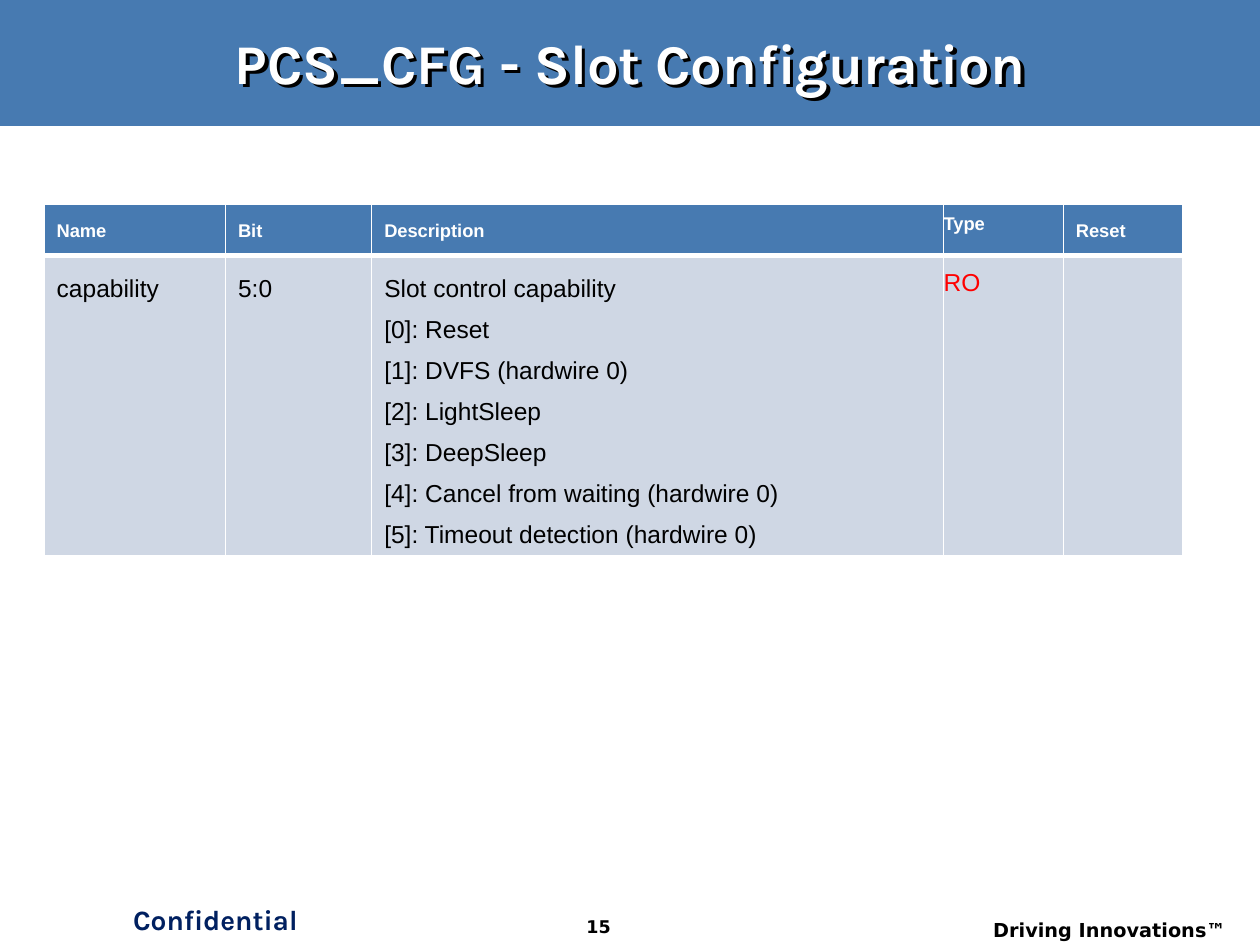
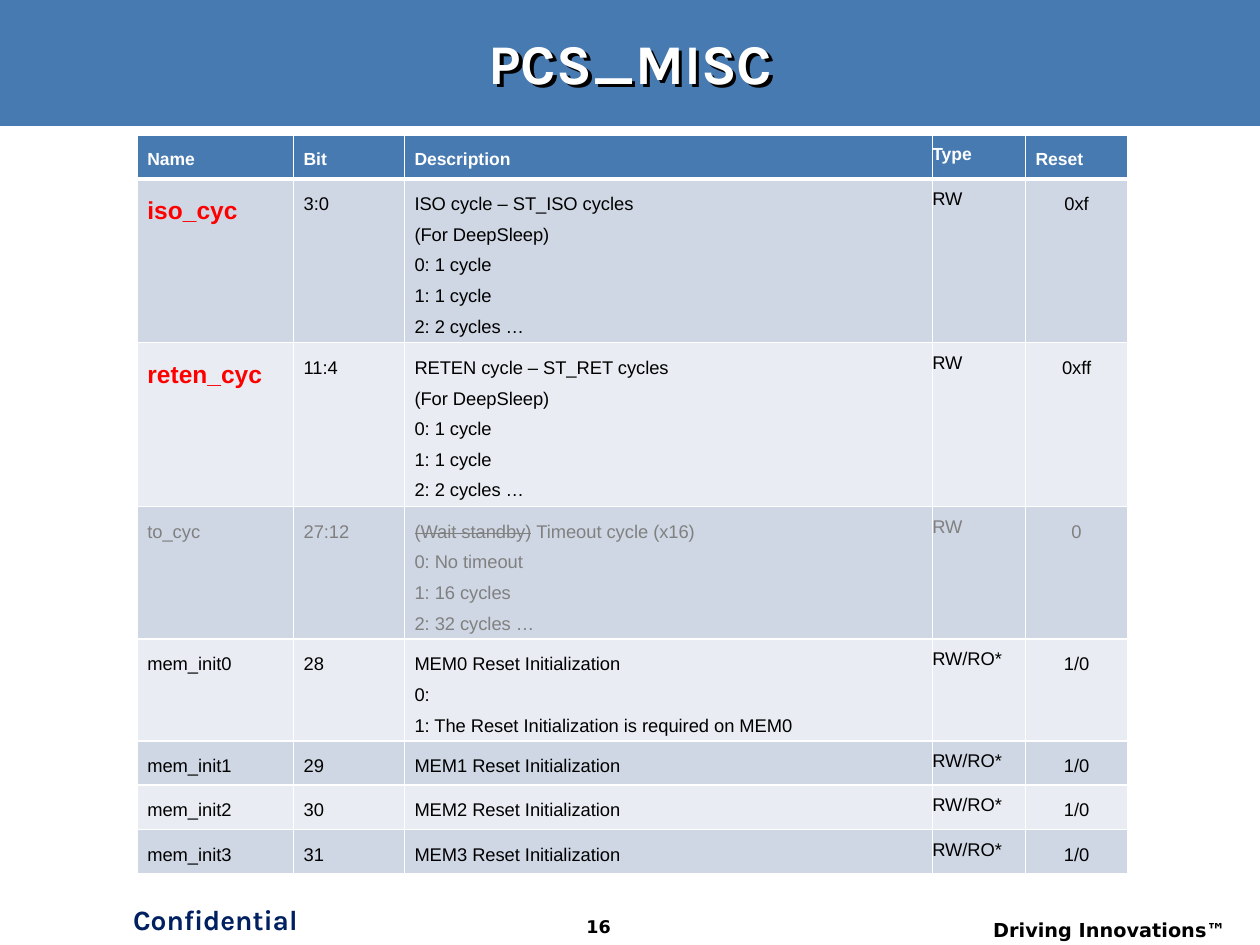
from lxml import etree
from pptx import Presentation
from pptx.dml.color import RGBColor
from pptx.enum.shapes import MSO_SHAPE as Shape
from pptx.enum.text import MSO_ANCHOR as Anchor, MSO_AUTO_SIZE as AutoSize, PP_ALIGN as Align
from pptx.oxml import parse_xml
from pptx.oxml.ns import nsdecls, qn
from pptx.util import Inches, Pt

THEME = {
    "blue": "477AB1",
    "bands": ("CFD7E4", "E9ECF2"),
    "white": "FFFFFF",
    "leading": 1.67,
    "title": {"name": "Karla", "size": 32, "color": "FFFFFF", "bold": True},
    "mark": {"name": "Karla", "size": 16, "color": "002060", "bold": True},
    "motto": {"name": "DejaVu Sans", "size": 11, "color": "000000", "bold": True},
    "number": {"name": "DejaVu Sans", "size": 10, "color": "000000", "bold": True},
    "head": {"name": "Arial", "color": "FFFFFF", "bold": True},
    "cell": {"name": "Arial", "color": "000000", "bold": False},
    "access": {"color": "FF0000"},
    "key": {"size": 14, "color": "FF0000", "bold": True},
    "muted": {"color": "808080"},
}

HEADINGS = ("Name", "Bit", "Description", "Type", "Reset")
TYPE, RESET = HEADINGS.index("Type"), HEADINGS.index("Reset")
CYCLES = ["(For DeepSleep)", "0: 1 cycle", "1: 1 cycle", "2: 2 cycles …"]
STRUCK = "(Wait standby)"

SLIDES = [
    {
        "title": "PCS_CFG - Slot Configuration",
        "number": "15",
        "place": (0.35, 1.62),
        "columns": (1.44, 1.16, 4.54, 0.95, 0.95),
        "heights": (0.41, 2.38),
        "insets": (0.1, 0.05),
        "sizes": {"head": 10.5, "cell": 14},
        "rows": [
            ("capability", "5:0", [
                "Slot control capability",
                "[0]: Reset",
                "[1]: DVFS (hardwire 0)",
                "[2]: LightSleep",
                "[3]: DeepSleep",
                "[4]: Cancel from waiting (hardwire 0)",
                "[5]: Timeout detection (hardwire 0)",
            ], "RO", ""),
        ],
        "accents": {(1, TYPE): "access"},
    },
    {
        "title": "PCS_MISC",
        "number": "16",
        "place": (1.09, 1.07),
        "columns": (1.24, 0.88, 4.19, 0.74, 0.81),
        "heights": (0.35, 1.3, 1.3, 1.05, 0.81, 0.35, 0.35, 0.35),
        "insets": (0.08, 0.04),
        "sizes": {"head": 10, "cell": 10.5},
        "rows": [
            ("iso_cyc", "3:0", ["ISO cycle – ST_ISO cycles", *CYCLES], "RW", "0xf"),
            ("reten_cyc", "11:4", ["RETEN cycle – ST_RET cycles", *CYCLES], "RW", "0xff"),
            ("to_cyc", "27:12", [
                STRUCK + " Timeout cycle (x16)",
                "0: No timeout",
                "1: 16 cycles",
                "2: 32 cycles …",
            ], "RW", "0"),
            ("mem_init0", "28", [
                "MEM0 Reset Initialization",
                "0:",
                "1: The Reset Initialization is required on MEM0",
            ], "RW/RO*", "1/0"),
            ("mem_init1", "29", "MEM1 Reset Initialization", "RW/RO*", "1/0"),
            ("mem_init2", "30", "MEM2 Reset Initialization", "RW/RO*", "1/0"),
            ("mem_init3", "31", "MEM3 Reset Initialization", "RW/RO*", "1/0"),
        ],
        "accents": {(1, 0): "key", (2, 0): "key",
                    **{(3, column): "muted" for column in range(len(HEADINGS))}},
    },
]

FOOTERS = [
    ("mark", (0.89, 7.11, 1.64, 0.42), Align.CENTER, "Confidential"),
    ("motto", (7.46, 7.24, 2.37, 0.26), Align.RIGHT, "Driving Innovations™"),
    ("number", (4.29, 7.22, 0.92, 0.28), Align.CENTER, None),
]


def paint(fill, color):
    fill.solid()
    fill.fore_color.rgb = RGBColor.from_string(color)


def style(font, look):
    values = {**look, "size": Pt(look["size"])}
    font.color.rgb = RGBColor.from_string(values.pop("color"))
    for name, value in values.items():
        setattr(font, name, value)


def write(para, text, look, align=Align.LEFT):
    para.alignment = align
    span = para.add_run()
    span.text = text
    style(span.font, look)
    return span


def place(shape, spot):
    for name, value in zip(("left", "top", "width", "height"), spot):
        setattr(shape, name, Inches(value))


def add_frame(page, slide):
    title = page.shapes.title
    band = page.shapes.add_shape(Shape.RECTANGLE, 0, 0, Inches(10), Inches(1))
    band.shadow.inherit = False
    paint(band.fill, THEME["blue"])
    band.line.fill.background()
    title.element.addprevious(band.element)

    place(title, (0.35, 0.16, 9.31, 0.66))
    title.fill.background()
    title.line.fill.background()
    title.element.spPr.append(parse_xml(
        f'<a:effectLst {nsdecls("a")}><a:outerShdw dist="38100" dir="2700000">'
        '<a:srgbClr val="000000"/></a:outerShdw></a:effectLst>'))
    frame = title.text_frame
    frame.word_wrap, frame.auto_size = True, AutoSize.NONE
    frame.vertical_anchor = Anchor.MIDDLE
    write(frame.paragraphs[0], slide["title"], THEME["title"], Align.CENTER)

    for look, spot, align, text in FOOTERS:
        box = page.shapes.add_textbox(*map(Inches, spot))
        box.text_frame.word_wrap = True
        write(box.text_frame.paragraphs[0], text or slide["number"], THEME[look], align)


def add_borders(cell, bottom):
    props = cell._tc.get_or_add_tcPr()
    for side, width in (("lnL", 1), ("lnR", 1), ("lnT", 1), ("lnB", bottom)):
        line = etree.SubElement(props, qn(f"a:{side}"), w=str(Pt(width)))
        fill = etree.SubElement(line, qn("a:solidFill"))
        etree.SubElement(fill, qn("a:srgbClr"), val=THEME["white"])


def fill_cell(cell, content, look, align):
    lines = [content] if isinstance(content, str) else content
    frame = cell.text_frame
    for index, text in enumerate(lines):
        para = frame.add_paragraph() if index else frame.paragraphs[0]
        para.line_spacing = Pt(round(look["size"] * THEME["leading"], 1))
        if text.startswith(STRUCK):
            span = write(para, STRUCK, look, align)
            span._r.get_or_add_rPr().set("strike", "sngStrike")
            text = text.removeprefix(STRUCK)
        if text:
            write(para, text, look, align)


def add_register_table(page, slide):
    rows = [HEADINGS, *slide["rows"]]
    size = sum(slide["columns"]), sum(slide["heights"])
    table = page.shapes.add_table(
        len(rows), len(HEADINGS), *map(Inches, slide["place"] + size)).table
    table.first_row = table.horz_banding = False
    for column, width in zip(table.columns, slide["columns"]):
        column.width = Inches(width)
    for row, height in zip(table.rows, slide["heights"]):
        row.height = Inches(height)

    for r, row in enumerate(rows):
        kind = "cell" if r else "head"
        color = THEME["bands"][(r - 1) % 2] if r else THEME["blue"]
        for c, content in enumerate(row):
            cell = table.cell(r, c)
            side, top = (0, 0) if c == TYPE else slide["insets"]
            cell.margin_left = cell.margin_right = Inches(side)
            cell.margin_top = cell.margin_bottom = Inches(top)
            add_borders(cell, 1 if r else 3)
            paint(cell.fill, color)
            accent = THEME.get(slide["accents"].get((r, c)), {})
            look = {**THEME[kind], "size": slide["sizes"][kind], **accent}
            fill_cell(cell, content, look, Align.CENTER if r and c == RESET else Align.LEFT)


def main():
    deck = Presentation()
    deck.slide_width, deck.slide_height = Inches(10), Inches(7.5)
    for slide in SLIDES:
        page = deck.slides.add_slide(deck.slide_layouts[5])
        add_frame(page, slide)
        add_register_table(page, slide)
    deck.save("out.pptx")


if __name__ == "__main__":
    main()
